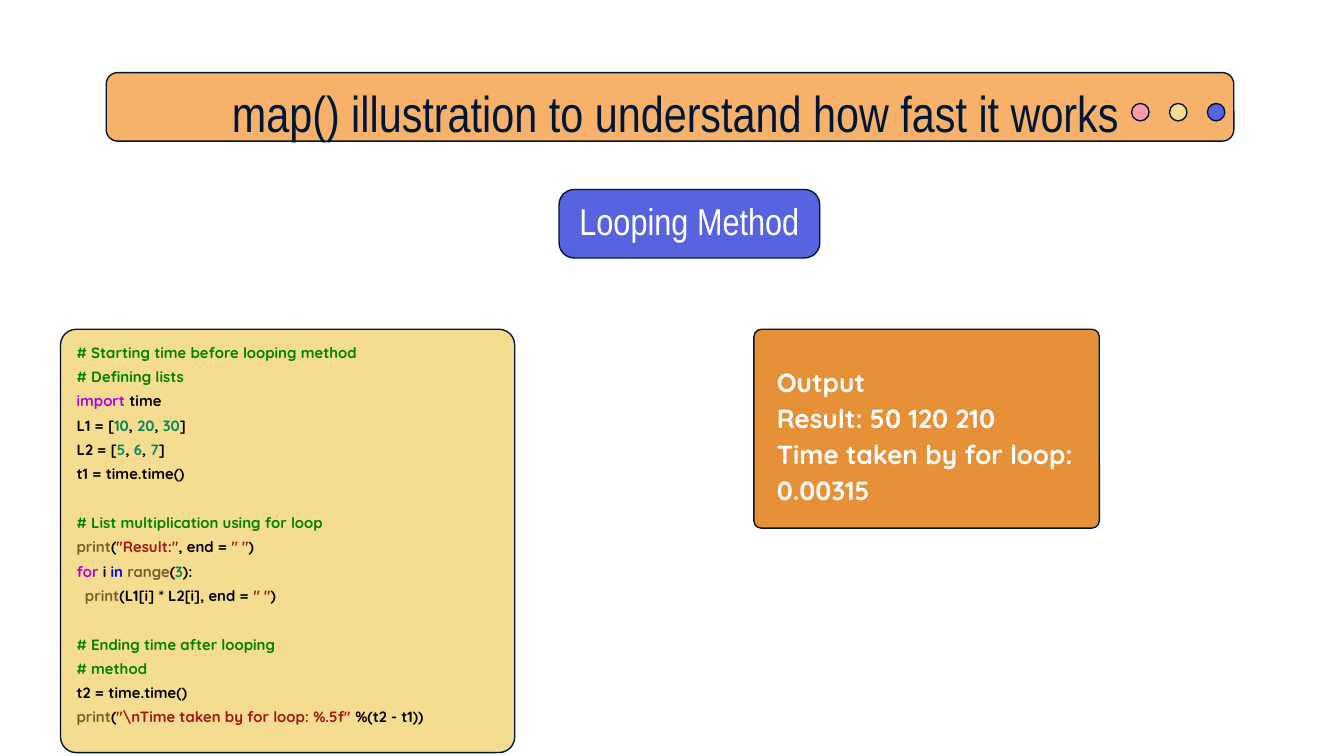
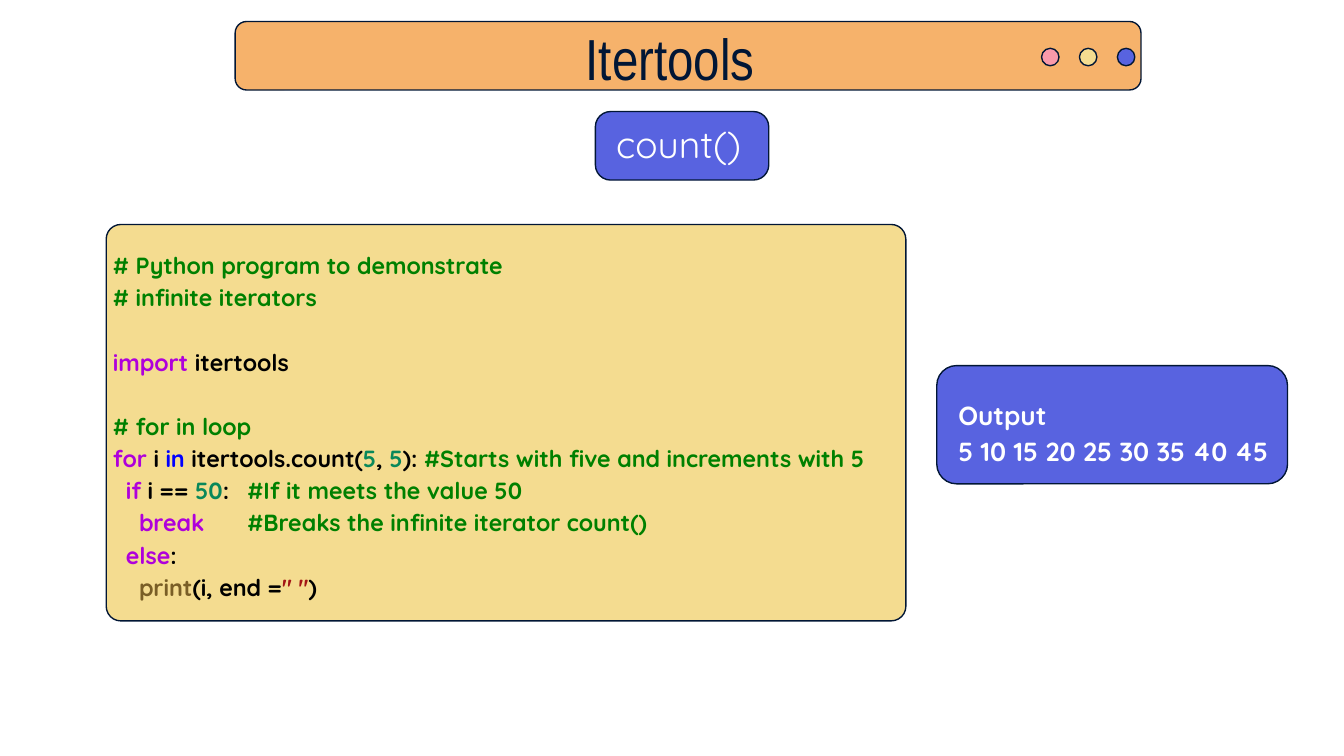
from lxml.etree import SubElement
from pptx import Presentation
from pptx.dml.color import RGBColor
from pptx.enum.shapes import MSO_SHAPE
from pptx.enum.text import MSO_ANCHOR, PP_ALIGN
from pptx.oxml.ns import qn
from pptx.util import Inches, Pt

# Colours
NAVY = RGBColor(0x01, 0x16, 0x35)
PEACH = RGBColor(0xF6, 0xB2, 0x6B)
ORANGE = RGBColor(0xE6, 0x91, 0x38)
CREAM = RGBColor(0xF4, 0xDC, 0x90)
PINK = RGBColor(0xF9, 0x9A, 0xAA)
BLUE = RGBColor(0x58, 0x63, 0xE0)
WHITE = RGBColor(0xFF, 0xFF, 0xFF)

# Syntax colours
PLAIN = RGBColor(0x00, 0x00, 0x00)
COMMENT = RGBColor(0x00, 0x80, 0x00)
KEYWORD = RGBColor(0xAF, 0x00, 0xDB)
OPERATOR = RGBColor(0x00, 0x00, 0xFF)
NUMBER = RGBColor(0x09, 0x88, 0x5A)
BUILTIN = RGBColor(0x79, 0x5E, 0x26)
STRING = RGBColor(0xA3, 0x15, 0x15)

TITLE_FONT = "Arial Narrow"
BODY_FONT = "Quicksand"

# Slide and its grid of 100 columns; rows are as tall as columns are wide
deck = Presentation()
deck.slide_width = Inches(10)
deck.slide_height = Inches(5.625)
CELL = deck.slide_width / 100
BAR_ROWS = 5.1
DOT = 1.3
DOT_STEP = 2.82


def add_card(shapes, kind, box, fill, corner=None):
    card = shapes.add_shape(kind, *(round(cells * CELL) for cells in box))
    card.shadow.inherit = False
    card.fill.solid()
    card.fill.fore_color.rgb = fill
    card.line.color.rgb = NAVY
    card.line.width = Pt(0.75)
    if corner is not None:
        card.adjustments[0] = corner


def add_text(slide, box, lines, font, size, spacing=1.0, color=WHITE,
             bold=False, align=PP_ALIGN.LEFT, inset=0, tab=None):
    """Each line is (indent level, blank line above, [(text, colour), ...])."""
    frame = slide.shapes.add_textbox(*(round(cells * CELL) for cells in box)).text_frame
    frame.word_wrap = True
    frame.vertical_anchor = MSO_ANCHOR.MIDDLE
    frame.margin_left = Inches(inset)
    frame.margin_right = frame.margin_top = frame.margin_bottom = 0
    for number, (level, gap, parts) in enumerate(lines):
        paragraph = frame.add_paragraph() if number else frame.paragraphs[0]
        paragraph.alignment = align
        paragraph.line_spacing = spacing
        if gap:
            paragraph.space_before = Pt(round(size * 1.2 * spacing, 1))
        properties = paragraph._p.get_or_add_pPr()
        if level:
            properties.set("marL", "0")
            properties.set("indent", str(Pt(size * 0.56 * level)))
        if tab:
            stops = SubElement(properties, qn("a:tabLst"))
            SubElement(stops, qn("a:tab"), pos=str(round(tab * CELL)), algn="l")
        paragraph.font.name = font
        paragraph.font.size = Pt(size)
        paragraph.font.bold = bold
        paragraph.font.color.rgb = color
        for text, part_color in parts:
            run = paragraph.add_run()
            run.text = text
            if part_color != color:
                run.font.color.rgb = part_color


# Code listings
looping_code = [
    (0, False, [("# Starting time before looping method", COMMENT)]),
    (0, False, [("# Defining lists", COMMENT)]),
    (0, False, [("import", KEYWORD), (" time", PLAIN)]),
]
for name, values in (("L1", ("10", "20", "30")), ("L2", ("5", "6", "7"))):
    parts = [(f"{name} = [", PLAIN)]
    for value, mark in zip(values, (", ", ", ", "]")):
        parts += [(value, NUMBER), (mark, PLAIN)]
    looping_code.append((0, False, parts))
looping_code += [
    (0, False, [("t1 = time.time()", PLAIN)]),
    (0, True, [("# List multiplication using for loop", COMMENT)]),
    (0, False, [("print", BUILTIN), ("(", PLAIN), ('"Result:"', STRING),
                (", end = ", PLAIN), ('" "', STRING), (")", PLAIN)]),
    (0, False, [("for", KEYWORD), (" i ", PLAIN), ("in ", OPERATOR),
                ("range", BUILTIN), ("(", PLAIN), ("3", NUMBER), ("):", PLAIN)]),
    (1, False, [("print", BUILTIN), ("(L1[i] * L2[i], end = ", PLAIN),
                ('" "', STRING), (")", PLAIN)]),
    (0, True, [("# Ending time after looping", COMMENT)]),
    (0, False, [("# method", COMMENT)]),
    (0, False, [("t2 = time.time()", PLAIN)]),
    (0, False, [("print", BUILTIN), ("(", PLAIN),
                ('"\\nTime taken by for loop: %.5f"', STRING),
                (" %(t2 - t1))", PLAIN)]),
]
count_code = [
    (0, False, [("# Python program to demonstrate", COMMENT)]),
    (0, False, [("# infinite iterators", COMMENT)]),
    (0, True, [("import", KEYWORD), (" itertools", PLAIN)]),
    (0, True, [("# for in loop", COMMENT)]),
    (0, False, [("for", KEYWORD), (" i ", PLAIN), ("in", OPERATOR),
                (" itertools.count(", PLAIN), ("5", NUMBER), (", ", PLAIN),
                ("5", NUMBER), ("): ", PLAIN),
                ("#Starts with five and increments with 5", COMMENT)]),
    (1, False, [("if", KEYWORD), (" i == ", PLAIN), ("50", NUMBER),
                (":\t", PLAIN), ("#If it meets the value 50", COMMENT)]),
    (2, False, [("break\t", KEYWORD),
                ("#Breaks the infinite iterator count()", COMMENT)]),
    (1, False, [("else", KEYWORD), (":", PLAIN)]),
    (2, False, [("print", BUILTIN), ("(i, end =", PLAIN), ('" "', STRING),
                (")", PLAIN)]),
]

# What differs between the slides; boxes are left, top, width, height in cells
topics = [
    dict(title="map() illustration to understand how fast it works",
         title_size=27, title_box=(16.1, 5.2, 68.3, 6.3),
         bar=(7.9, 5.4, 83.9, BAR_ROWS), dots=(84.2, 7.7),
         method="Looping Method", method_font=TITLE_FONT,
         method_card=(41.6, 14.1, 19.4, BAR_ROWS),
         method_box=(37.6, 13.3, 26.6, 6.3),
         code=looping_code, code_size=8, code_spacing=1.36, code_tab=None,
         code_card=(4.5, 24.5, 33.8, 31.5), code_box=(5.7, 24.2, 30.9, 30.7),
         output=["Output", "Result: 50 120 210", "Time taken by for loop: 0.00315"],
         output_card=(56.1, 24.5, 25.7, 14.8), output_box=(57.8, 19.7, 24.2, 25.1),
         output_fill=ORANGE, output_corner=0.037),
    dict(title="Itertools", title_size=31, title_box=(31, 1.1, 37.7, 6.3),
         bar=(17.5, 1.6, 67.4, BAR_ROWS), dots=(77.5, 3.6),
         method="count()", method_font=BODY_FONT,
         method_card=(44.3, 8.3, 12.9, BAR_ROWS),
         method_box=(41.4, 7.5, 17.4, 6.3),
         code=count_code, code_size=12.5, code_spacing=1.15, code_tab=9.75,
         code_card=(7.9, 16.7, 59.5, 29.5), code_box=(8.4, 16.1, 57.6, 30.9),
         output=["Output", "5 10 15 20 25 30 35 40 45"],
         output_card=(69.7, 27.2, 26.1, 8.8), output_box=(71.3, 28.9, 28.1, 6.3),
         output_fill=BLUE, output_corner=0.167),
]

for topic in topics:
    slide = deck.slides.add_slide(deck.slide_layouts[6])

    # Title bar with its three window dots
    add_card(slide.shapes, MSO_SHAPE.ROUNDED_RECTANGLE, topic["bar"], PEACH, 0.167)
    window_dots = slide.shapes.add_group_shape()
    dots_left, dots_top = topic["dots"]
    for place, fill in enumerate((PINK, CREAM, BLUE)):
        add_card(window_dots.shapes, MSO_SHAPE.OVAL,
                 (dots_left + place * DOT_STEP, dots_top, DOT, DOT), fill)
    add_text(slide, topic["title_box"], [(0, False, [(topic["title"], NAVY)])],
             TITLE_FONT, topic["title_size"], color=NAVY, align=PP_ALIGN.CENTER)

    # Code listing
    add_card(slide.shapes, MSO_SHAPE.ROUNDED_RECTANGLE, topic["code_card"], CREAM, 0.037)
    add_text(slide, topic["code_box"], topic["code"], BODY_FONT, topic["code_size"],
             topic["code_spacing"], PLAIN, bold=True, tab=topic["code_tab"])

    # Output
    add_card(slide.shapes, MSO_SHAPE.ROUNDED_RECTANGLE, topic["output_card"],
             topic["output_fill"], topic["output_corner"])
    add_text(slide, topic["output_box"],
             [(0, False, [(text, WHITE)]) for text in topic["output"]],
             BODY_FONT, 14, 1.15, bold=True)

    # Method label
    add_card(slide.shapes, MSO_SHAPE.ROUNDED_RECTANGLE, topic["method_card"], BLUE, 0.222)
    add_text(slide, topic["method_box"], [(0, False, [(topic["method"], WHITE)])],
             topic["method_font"], 20, align=PP_ALIGN.CENTER, inset=0.08)

deck.save("out.pptx")
